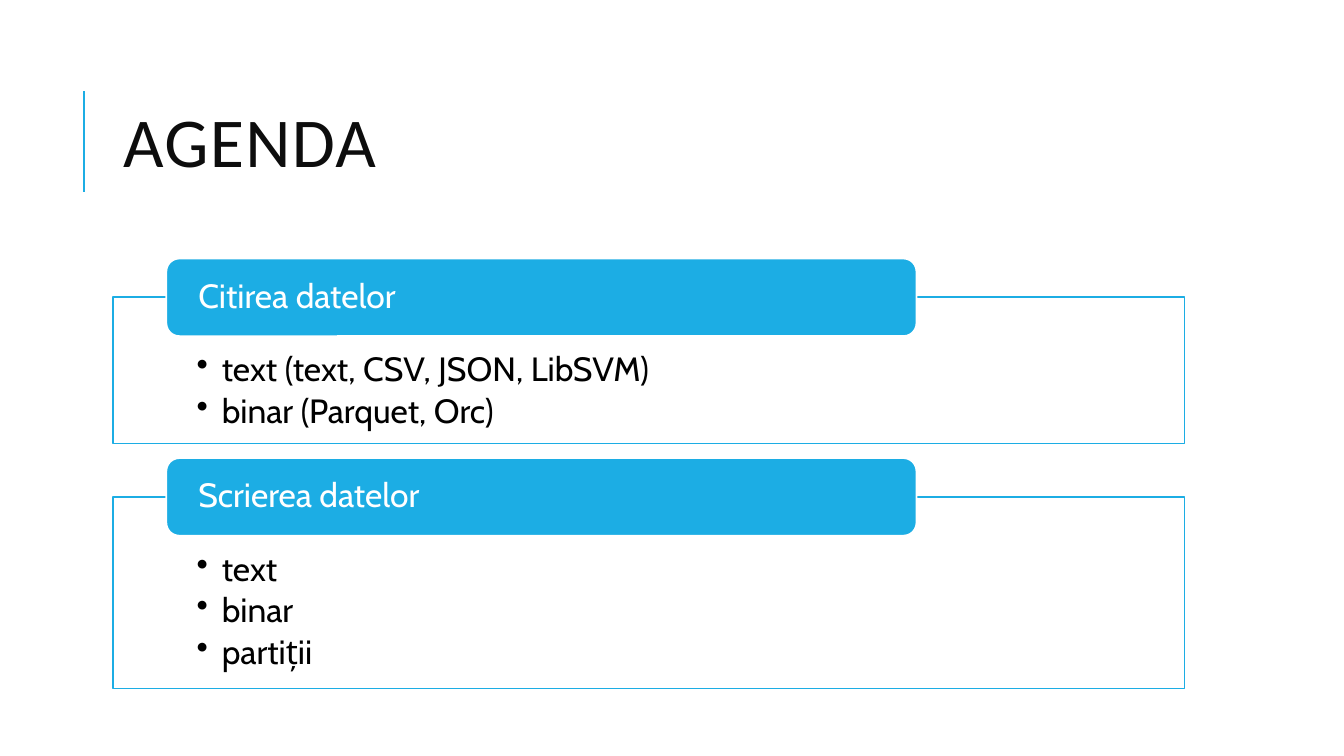
from lxml.etree import SubElement
from pptx import Presentation
from pptx.dml.color import RGBColor
from pptx.enum.shapes import MSO_CONNECTOR, MSO_SHAPE
from pptx.enum.text import MSO_ANCHOR, MSO_AUTO_SIZE, PP_ALIGN
from pptx.oxml.ns import qn
from pptx.util import Inches, Pt

BLUE = RGBColor(0x1C, 0xAD, 0xE4)
WHITE = RGBColor(0xFF, 0xFF, 0xFF)
BLACK = RGBColor(0, 0, 0)
INK = RGBColor(0x0D, 0x0D, 0x0D)

LEFT, WIDTH = 1.12, 10.63
FIRST_TOP, SECTION_GAP = 2.95, 0.53
HEADER_LEFT, HEADER_WIDTH, HEADER_HEIGHT = 1.65, 7.44, 0.77

SECTIONS = [
    ("Citirea datelor", 1.45, ["text (text, CSV, JSON, LibSVM)", "binar (Parquet, Orc)"]),
    ("Scrierea datelor", 1.9, ["text", "binar", "partiții"]),
]


def set_all(target, values):
    for name, value in values.items():
        setattr(target, name, value)


class AgendaSlide:
    title_font = {"name": "Calibri", "size": Pt(50)}
    section_font = {"name": "Cabin", "size": Pt(24)}

    def __init__(self, deck):
        self.slide = deck.slides.add_slide(deck.slide_layouts[5])

    def add_text(self, paragraph, text, font, color, spacing):
        run = paragraph.add_run()
        run.text = text
        set_all(run.font, font)
        run.font.color.rgb = color
        set_all(paragraph, {"alignment": PP_ALIGN.LEFT, "line_spacing": spacing})
        return run

    def title(self, text):
        heading = self.slide.shapes.title
        set_all(heading, {"left": Inches(LEFT), "top": Inches(0.64),
                          "width": Inches(WIDTH), "height": Inches(1.64)})
        frame = heading.text_frame
        set_all(frame, {"vertical_anchor": MSO_ANCHOR.MIDDLE, "word_wrap": True,
                        "auto_size": MSO_AUTO_SIZE.NONE})
        run = self.add_text(frame.paragraphs[0], text, self.title_font, INK, 0.8)
        run.font._element.set("spc", "100")

    def accent_line(self, x, top, bottom):
        accent = self.slide.shapes.add_connector(
            MSO_CONNECTOR.STRAIGHT, Inches(x), Inches(bottom), Inches(x), Inches(top))
        accent.line.color.rgb = BLUE
        accent.line.width = Pt(1.5)
        SubElement(accent._element.spPr, qn("a:effectLst"))

    def box(self, kind, bounds, fill, outline, insets, anchor):
        """Draw a filled, outlined shape; insets are left/right, top, bottom."""
        shape = self.slide.shapes.add_shape(kind, *map(Inches, bounds))
        shape.shadow.inherit = False
        shape.fill.solid()
        shape.fill.fore_color.rgb = fill
        shape.line.color.rgb = outline
        shape.line.width = Pt(1.25)
        side, top, bottom = map(Inches, insets)
        set_all(shape.text_frame, {
            "margin_left": side, "margin_right": side, "margin_top": top,
            "margin_bottom": bottom, "vertical_anchor": anchor, "word_wrap": True})
        return shape

    def panel(self, top, height, items):
        panel = self.box(MSO_SHAPE.RECTANGLE, (LEFT, top, WIDTH, height),
                         WHITE, BLUE, (0.83, 0.55, 0.19), MSO_ANCHOR.TOP)
        fill_color = panel._element.spPr.find(qn("a:solidFill"))[0]
        SubElement(fill_color, qn("a:alpha"), val="90000")
        frame = panel.text_frame
        for index, item in enumerate(items):
            paragraph = frame.add_paragraph() if index else frame.paragraphs[0]
            self.add_text(paragraph, item, self.section_font, BLACK, 0.9)
            set_all(paragraph, {"level": 1, "space_after": Pt(3.6)})
            properties = paragraph._p.get_or_add_pPr()
            properties.set("marL", str(Inches(0.25)))
            properties.set("indent", str(Inches(-0.25)))
            SubElement(properties, qn("a:buChar"), char="•")

    def header(self, panel_top, text):
        """Place a section header centred on the top edge of its panel."""
        bounds = (HEADER_LEFT, panel_top - HEADER_HEIGHT / 2, HEADER_WIDTH, HEADER_HEIGHT)
        header = self.box(MSO_SHAPE.ROUNDED_RECTANGLE, bounds, BLUE, WHITE,
                          (0.28, 0, 0), MSO_ANCHOR.MIDDLE)
        self.add_text(header.text_frame.paragraphs[0], text, self.section_font, WHITE, 0.9)


def main():
    deck = Presentation()
    set_all(deck, {"slide_width": Inches(13.33), "slide_height": Inches(7.5)})
    agenda = AgendaSlide(deck)
    agenda.accent_line(0.83, 0.9, 1.9)
    agenda.title("AGENDA")
    top = FIRST_TOP
    for heading, height, items in SECTIONS:
        agenda.panel(top, height, items)
        agenda.header(top, heading)
        top += height + SECTION_GAP
    deck.save("out.pptx")


if __name__ == "__main__":
    main()
